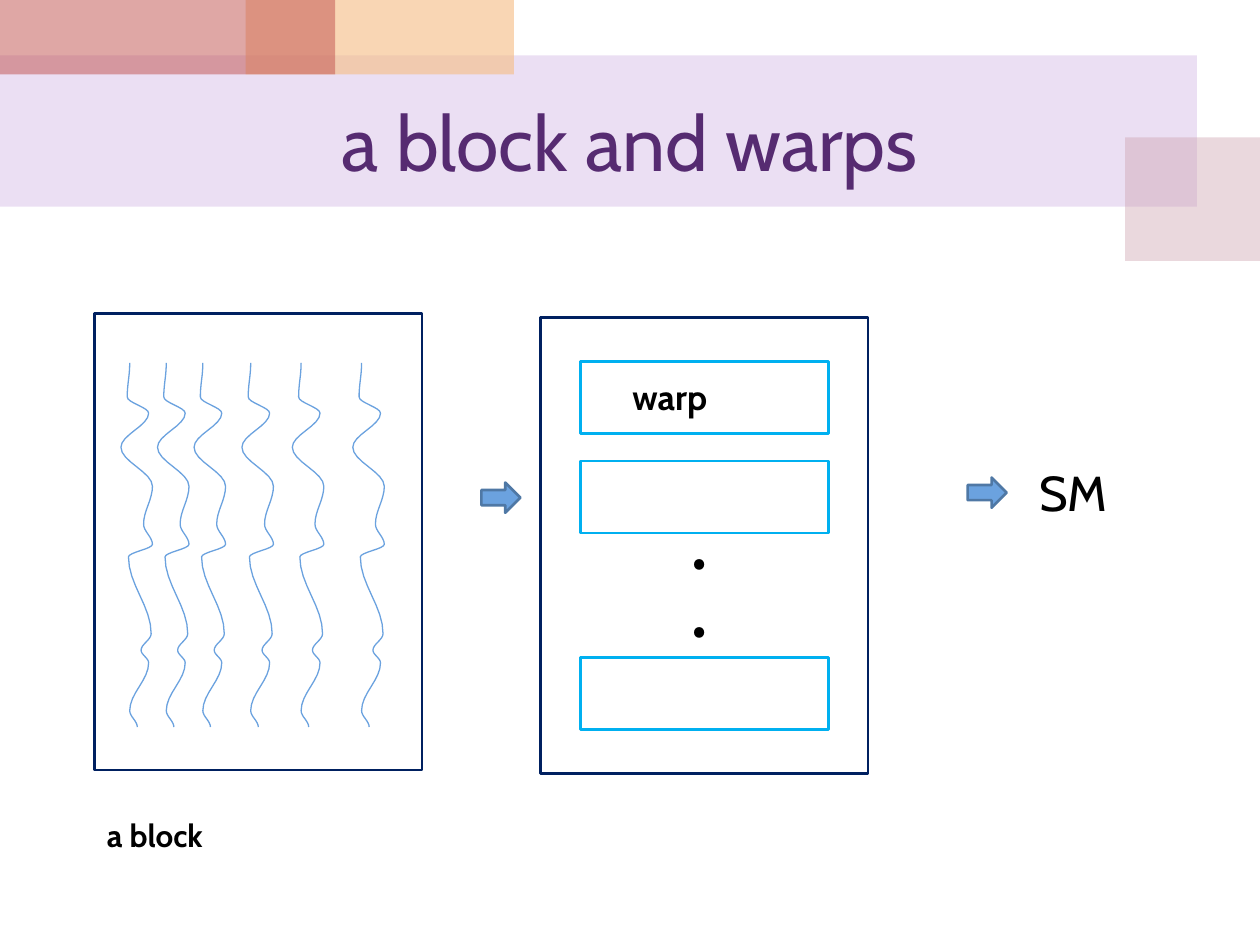
"""Build a slide that shows how a block of threads is split into warps for an SM."""
from itertools import pairwise
from math import cos, pi

from lxml import etree
from pptx import Presentation
from pptx.dml.color import RGBColor
from pptx.enum.shapes import MSO_SHAPE
from pptx.enum.text import MSO_ANCHOR, PP_ALIGN
from pptx.oxml.ns import qn
from pptx.util import Inches, Pt

RECT = MSO_SHAPE.RECTANGLE
ARROW = MSO_SHAPE.RIGHT_ARROW
MIDDLE = MSO_ANCHOR.MIDDLE
CENTER = PP_ALIGN.CENTER

LILAC = RGBColor(0xBF, 0x98, 0xD8)
ROSE = RGBColor(0xCC, 0x9E, 0xAC)
PEACH = RGBColor(0xF5, 0xBC, 0x83)
RED = RGBColor(0xC0, 0x50, 0x4D)
PURPLE = RGBColor(0x56, 0x2B, 0x71)
NAVY = RGBColor(0x00, 0x20, 0x60)
CYAN = RGBColor(0x00, 0xB0, 0xF0)
BLUE = RGBColor(0x6B, 0xA2, 0xDF)
STEEL = RGBColor(0x4F, 0x78, 0xA5)
BLACK = RGBColor(0, 0, 0)

BLOCK_LEFT, BLOCK_TOP = 0.75, 2.49
WARPS_LEFT, WARPS_TOP = 4.29, 2.52
FRAME_W, FRAME_H = 2.6, 3.62
WARP_W, WARP_H = 1.97, 0.57
WARP_LEFT = WARPS_LEFT + (FRAME_W - WARP_W) / 2
WARP_TOPS = (2.87, 3.66, 5.22)
ARROW_W, ARROW_H = 0.31, 0.24

THREAD_TOP = 2.88
THREAD_LEFTS = (0.96, 1.25, 1.54, 1.92, 2.32, 2.8)
THREAD_TURNS = [
    (0.07, 0), (0.05, 0.27), (0.22, 0.4), (0, 0.67), (0.25, 0.98),
    (0.18, 1.28), (0.25, 1.44), (0.06, 1.54), (0.24, 2.15),
    (0.16, 2.28), (0.22, 2.38), (0.07, 2.76), (0.13, 2.89),
]
STEPS_PER_SWING = 8


def add_box(kind, x, y, w, h, fill=None, line=None, alpha=None):
    sp = s.shapes.add_shape(kind, Inches(x), Inches(y), Inches(w), Inches(h))
    sp.shadow.inherit = False
    if fill is None:
        sp.fill.background()
    else:
        sp.fill.solid()
        sp.fill.fore_color.rgb = fill
    if alpha is not None:
        color = sp.fill._xPr.find(qn("a:solidFill"))[0]
        etree.SubElement(color, qn("a:alpha")).set("val", str(alpha * 1000))
    if line is None:
        sp.line.fill.background()
    else:
        sp.line.color.rgb = line
        sp.line.width = Pt(1.5)


def add_label(text, x, y, w, h, size, bold=False, font="Cabin"):
    tf = s.shapes.add_textbox(Inches(x), Inches(y), Inches(w), Inches(h)).text_frame
    tf.word_wrap = True
    p = tf.paragraphs[0]
    p.text = text
    p.font.name = font
    p.font.size = Pt(size)
    p.font.bold = bold
    p.font.color.rgb = BLACK


prs = Presentation()
prs.slide_width = Inches(10)
prs.slide_height = Inches(7.5)
s = prs.slides.add_slide(prs.slide_layouts[5])

for x, y, w, h, color, alpha in [
    (0, 0.44, 9.5, 1.2, LILAC, 30),
    (8.93, 1.09, 1.07, 0.98, ROSE, 40),
    (1.95, 0, 2.13, 0.59, PEACH, 60),
    (0, 0, 2.66, 0.59, RED, 50),
]:
    add_box(RECT, x, y, w, h, fill=color, alpha=alpha)

title = s.shapes.title
title.left, title.top = Inches(0.5), Inches(0.59)
title.width, title.height = Inches(9), Inches(1.05)
title._element.getparent().append(title._element)
tf = title.text_frame
tf.vertical_anchor = MIDDLE
p = tf.paragraphs[0]
p.text = "a block and warps"
p.alignment = CENTER
p.font.name = "Cabin"
p.font.size = Pt(44)
p.font.color.rgb = PURPLE

add_box(RECT, BLOCK_LEFT, BLOCK_TOP, FRAME_W, FRAME_H, line=NAVY)
add_label("a block", BLOCK_LEFT, 6.43, FRAME_W, 0.4, 18, bold=True)

thread_points = []
for (x0, y0), (x1, y1) in pairwise(THREAD_TURNS):
    for step in range(1, STEPS_PER_SWING + 1):
        t = step / STEPS_PER_SWING
        sway = (1 - cos(pi * t)) / 2
        thread_points.append((Inches(x0 + (x1 - x0) * sway), Inches(y0 + (y1 - y0) * t)))

start_x, start_y = THREAD_TURNS[0]
for left in THREAD_LEFTS:
    builder = s.shapes.build_freeform(Inches(start_x), Inches(start_y))
    builder.add_line_segments(thread_points, close=False)
    sp = builder.convert_to_shape(Inches(left), Inches(THREAD_TOP))
    sp.shadow.inherit = False
    sp.fill.background()
    sp.line.color.rgb = BLUE
    sp.line.width = Pt(0.75)

add_box(RECT, WARPS_LEFT, WARPS_TOP, FRAME_W, FRAME_H, line=NAVY)
for top in WARP_TOPS:
    add_box(RECT, WARP_LEFT, top, WARP_W, WARP_H, line=CYAN)
add_label("..", 5.38, 4.03, 0.28, 1.18, 32, bold=True, font="Noto Sans CJK KR")
add_label("warp", 4.92, 2.93, 1.42, 0.44, 20, bold=True)

for x, y in [(3.82, 3.83), (7.68, 3.79)]:
    add_box(ARROW, x, y, ARROW_W, ARROW_H, fill=BLUE, line=STEEL)
add_label("SM", 8.15, 3.62, 1.26, 0.57, 28)

prs.save("out.pptx")
